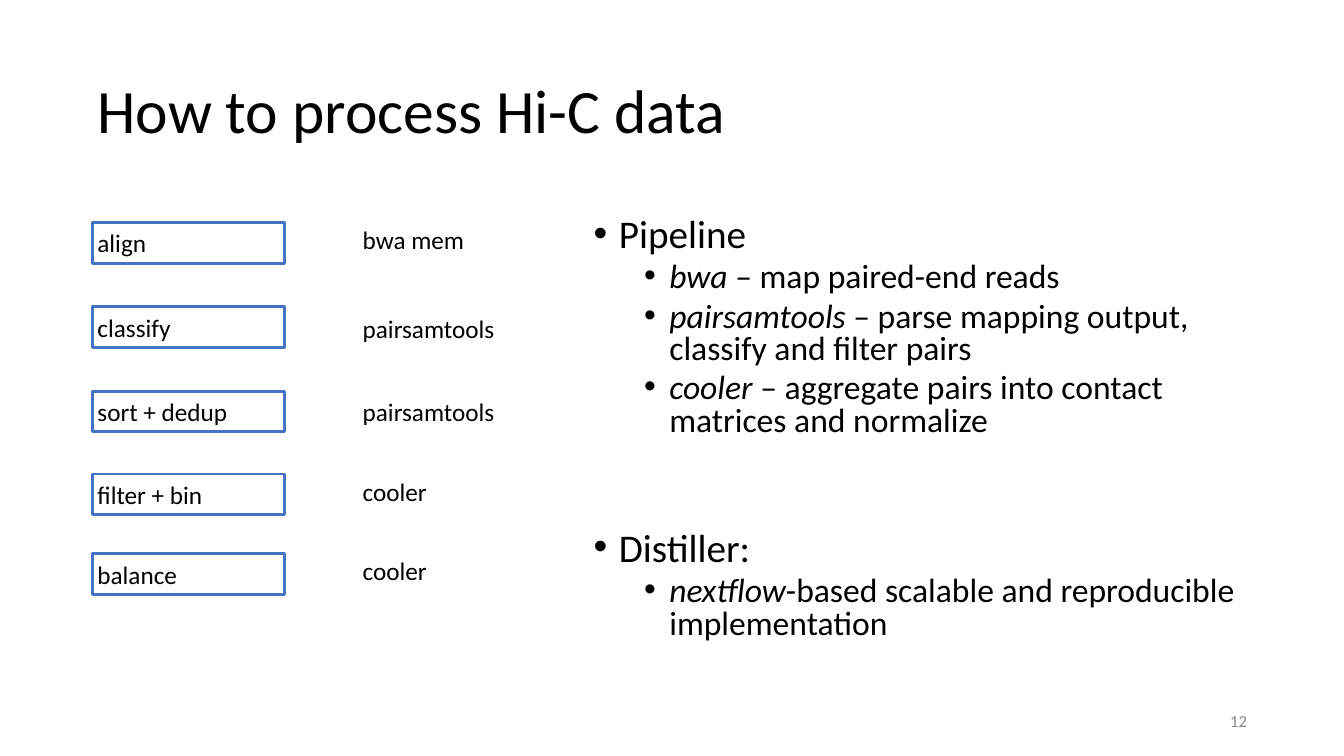
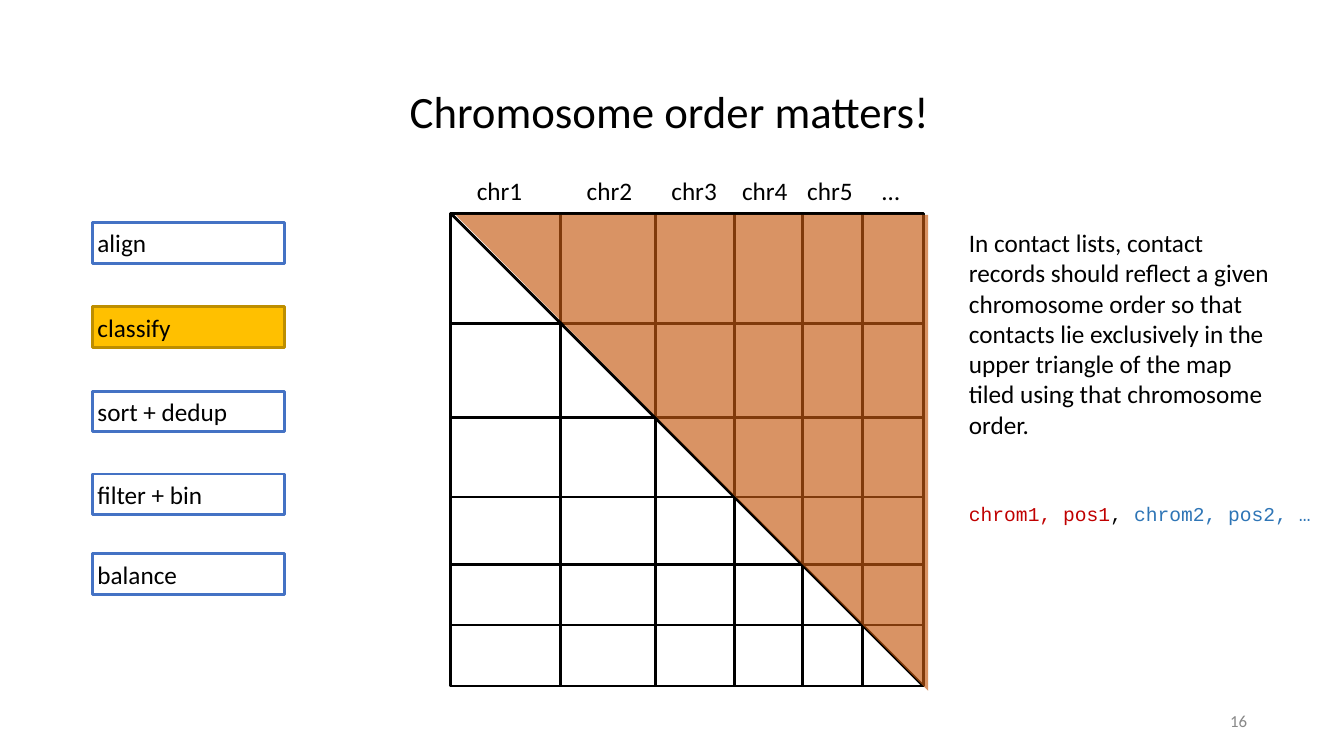
from itertools import accumulate

from lxml import etree
from pptx import Presentation
from pptx.dml.color import RGBColor
from pptx.enum.shapes import MSO_CONNECTOR, MSO_SHAPE
from pptx.enum.text import MSO_ANCHOR, MSO_AUTO_SIZE, PP_ALIGN
from pptx.oxml.ns import qn
from pptx.util import Pt

BLACK = RGBColor(0x00, 0x00, 0x00)
WHITE = RGBColor(0xFF, 0xFF, 0xFF)
GREY = RGBColor(0x88, 0x88, 0x88)
BLUE = RGBColor(0x44, 0x72, 0xC4)
GOLD = RGBColor(0xFF, 0xC0, 0x00)
DARK_GOLD = RGBColor(0xBD, 0x8E, 0x00)
RUST = RGBColor(0xC5, 0x5A, 0x11)
RED = RGBColor(0xC0, 0x00, 0x00)
STEEL = RGBColor(0x2E, 0x75, 0xB6)

SANS, MONO = "Calibri", "Courier New"
INSET = 3.6
LINE_WIDTH = 2

# Step, top of its box, tool, top of the tool label
STEPS = [
    ("align", 159, "bwa mem", 157),
    ("classify", 219, "pairsamtools", 220.5),
    ("sort + dedup", 279.5, "pairsamtools", 279.5),
    ("filter + bin", 338.5, "cooler", 336.5),
    ("balance", 395.5, "cooler", 393),
]

# Level, space before, italic part, plain part
OUTLINE = [
    (0, 0, "", "Pipeline"),
    (1, 5, "bwa", " – map paired-end reads"),
    (1, 5, "pairsamtools ", "– parse mapping output, classify and filter pairs"),
    (1, 5, "cooler", " – aggregate pairs into contact matrices and normalize"),
    (0, 67, "", "Distiller:"),
    (1, 5, "nextflow", "-based scalable and reproducible implementation"),
]
LEVEL_SIZES = (28, 24)
LEVEL_INDENTS = (18, 54)

# Chromosome, its share of the map side, left of its label
CHROMOSOMES = [
    ("chr1", 78.5, 337),
    ("chr2", 67.5, 415.5),
    ("chr3", 56.5, 476),
    ("chr4", 48.5, 526.5),
    ("chr5", 43, 573),
    ("…", 43.5, 626.5),
]
MAP_LEFT, MAP_TOP = 322, 152.5

ORDER_NOTE = ("In contact lists, contact records should reflect a given "
              "chromosome order so that contacts lie exclusively in the upper "
              "triangle of the map tiled using that chromosome order.")
RECORD_FIELDS = [("chrom1, pos1", RED), (", ", BLACK), ("chrom2, pos2, …", STEEL)]


def place(shape, left, top, width, height):
    shape.left, shape.top = Pt(left), Pt(top)
    shape.width, shape.height = Pt(width), Pt(height)


def set_frame(frame, anchor=MSO_ANCHOR.TOP, wrap=True):
    frame.auto_size = MSO_AUTO_SIZE.NONE
    frame.word_wrap = wrap
    frame.vertical_anchor = anchor
    frame.margin_left = frame.margin_right = Pt(INSET)
    frame.margin_top = frame.margin_bottom = Pt(INSET)


def add_run(paragraph, text, size, color=BLACK, font=SANS, italic=None):
    run = paragraph.add_run()
    run.text = text
    run.font.size, run.font.name, run.font.italic = Pt(size), font, italic
    run.font.color.rgb = color


def add_label(slide, text, left, top, width, height=29, size=18, color=BLACK):
    label = slide.shapes.add_textbox(Pt(left), Pt(top), Pt(width), Pt(height))
    set_frame(label.text_frame)
    paragraph = label.text_frame.paragraphs[0]
    if text:
        add_run(paragraph, text, size, color)
    return paragraph


def add_box(slide, preset, left, top, width, height, fill, line=None):
    box = slide.shapes.add_shape(preset, Pt(left), Pt(top), Pt(width), Pt(height))
    box.shadow.inherit = False
    box.fill.solid()
    box.fill.fore_color.rgb = fill
    if line is None:
        box.line.fill.background()
    else:
        box.line.color.rgb = line
        box.line.width = Pt(LINE_WIDTH)
    return box


def add_line(slide, x1, y1, x2, y2):
    line = slide.shapes.add_connector(
        MSO_CONNECTOR.STRAIGHT, Pt(x1), Pt(y1), Pt(x2), Pt(y2))
    line.line.color.rgb = BLACK
    line.line.width = Pt(LINE_WIDTH)
    etree.SubElement(line._element.spPr, qn("a:effectLst"))


def set_title(slide, text, bounds, size, spacing):
    title = slide.shapes.title
    place(title, *bounds)
    set_frame(title.text_frame, MSO_ANCHOR.MIDDLE)
    paragraph = title.text_frame.paragraphs[0]
    paragraph.alignment = PP_ALIGN.LEFT
    paragraph.line_spacing = spacing
    add_run(paragraph, text, size)


def add_slide_number(slide, number):
    paragraph = add_label(slide, number, 873, 504, 21.5, 21, 12, GREY)
    paragraph.alignment = PP_ALIGN.RIGHT


def add_steps(slide, current=None):
    """Draw the pipeline steps, with the current one highlighted."""
    for step, top, _, _ in STEPS:
        fill, line = (GOLD, DARK_GOLD) if step == current else (WHITE, BLUE)
        box = add_box(slide, MSO_SHAPE.RECTANGLE, 66, top, 137, 29, fill, line)
        set_frame(box.text_frame, MSO_ANCHOR.MIDDLE)
        paragraph = box.text_frame.paragraphs[0]
        paragraph.alignment = PP_ALIGN.LEFT
        add_run(paragraph, step, 18)


def add_bullet(paragraph, indent):
    properties = paragraph._p.get_or_add_pPr()
    properties.set("marL", str(Pt(indent)))
    properties.set("indent", str(-Pt(18)))
    etree.SubElement(properties, qn("a:buFont"), typeface="Arial")
    etree.SubElement(properties, qn("a:buChar"), char="•")


def fill_outline(body):
    place(body, 420.5, 152.5, 479, 330)
    set_frame(body.text_frame)
    for index, (level, before, italic, plain) in enumerate(OUTLINE):
        frame = body.text_frame
        paragraph = frame.add_paragraph() if index else frame.paragraphs[0]
        add_bullet(paragraph, LEVEL_INDENTS[level])
        paragraph.level = level
        paragraph.line_spacing = 0.8
        paragraph.space_before = Pt(before)
        if italic:
            add_run(paragraph, italic, LEVEL_SIZES[level], italic=True)
        add_run(paragraph, plain, LEVEL_SIZES[level])


def add_contact_map(slide):
    offsets = list(accumulate(share for _, share, _ in CHROMOSOMES))
    side = offsets[-1]
    right, bottom = MAP_LEFT + side, MAP_TOP + side
    add_box(slide, MSO_SHAPE.RECTANGLE, MAP_LEFT, MAP_TOP, side, side, WHITE, BLACK)
    add_line(slide, MAP_LEFT, MAP_TOP, right, bottom)
    for offset in offsets[:-1]:
        add_line(slide, MAP_LEFT + offset, MAP_TOP, MAP_LEFT + offset, bottom)
        add_line(slide, MAP_LEFT, MAP_TOP + offset, right, MAP_TOP + offset)

    upper_triangle = add_box(slide, MSO_SHAPE.RIGHT_TRIANGLE,
                             325.5, 153.5, side, 340, RUST)
    upper_triangle.rotation = 180
    color = upper_triangle._element.spPr.find(".//" + qn("a:srgbClr"))
    etree.SubElement(color, qn("a:alpha"), val="65000")

    for name, _, left in CHROMOSOMES:
        add_label(slide, name, left, 121.5, 44)


def build_process_slide(deck):
    slide = deck.slides.add_slide(deck.slide_layouts[1])
    set_title(slide, "How to process Hi-C data", (66, 29, 828, 104.5), 44, 0.9)
    add_slide_number(slide, "12")
    add_steps(slide)
    for _, _, tool, top in STEPS:
        add_label(slide, tool, 255.5, top, 145)
    fill_outline(slide.placeholders[1])


def build_order_slide(deck):
    slide = deck.slides.add_slide(deck.slide_layouts[5])
    set_title(slide, "Chromosome order matters!", (289, 56, 438, 46), 32, 1.0)
    add_slide_number(slide, "16")
    add_steps(slide, "classify")
    add_contact_map(slide)
    add_label(slide, ORDER_NOTE, 688.5, 159, 229, 160)
    record = add_label(slide, "", 688.5, 355, 265.5, 24.5)
    for field, color in RECORD_FIELDS:
        add_run(record, field, 14, color, MONO)


def main():
    deck = Presentation()
    deck.slide_width, deck.slide_height = Pt(960), Pt(540)
    build_process_slide(deck)
    build_order_slide(deck)
    deck.save("out.pptx")


if __name__ == "__main__":
    main()
